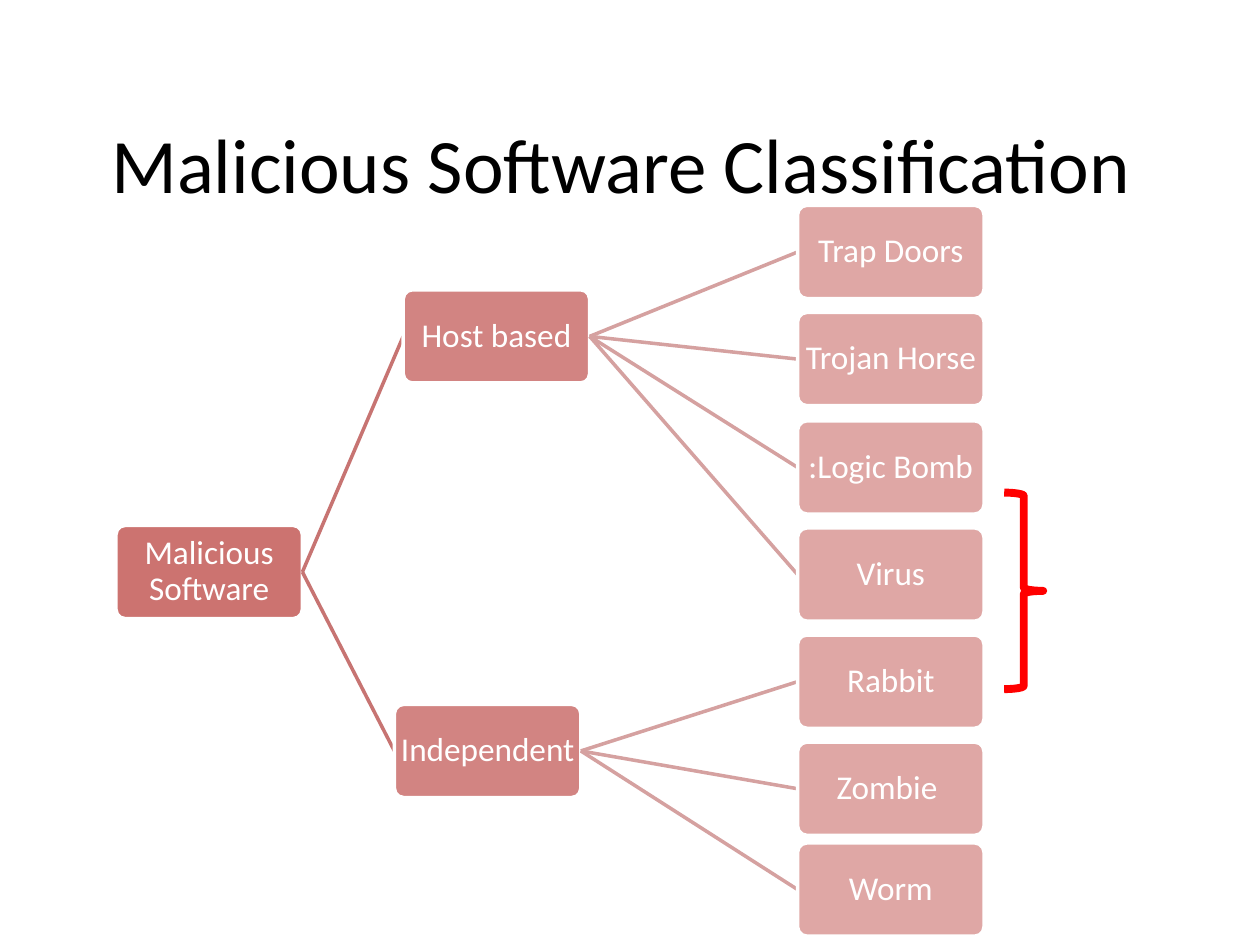
from lxml.etree import SubElement
from pptx import Presentation
from pptx.dml.color import RGBColor
from pptx.enum.shapes import MSO_CONNECTOR, MSO_SHAPE
from pptx.enum.text import MSO_ANCHOR, PP_ALIGN
from pptx.oxml.ns import qn
from pptx.util import Inches, Pt

BOX_W, BOX_H = 1.48, 0.74
RED = "C0504D"
LEAF_X = 6.33
ROOT = ("Malicious Software", 0.92, 4.17)
# Each branch: label, left, top, then its leaves as (label, top)
BRANCHES = [
    ("Host based", 3.2, 2.3,
     [("Trap Doors", 1.63), ("Trojan Horse", 2.48),
      (":Logic Bomb", 3.34), ("Virus", 4.19)]),
    ("Independent ", 3.13, 5.59,
     [("Rabbit", 5.04), ("Zombie ", 5.89), ("Worm", 6.69)]),
]


def rgb(color):
    return RGBColor.from_string(color)


def add_text(tf, text, size, color):
    tf.word_wrap = True
    tf.vertical_anchor = MSO_ANCHOR.MIDDLE
    p = tf.paragraphs[0]
    p.alignment = PP_ALIGN.CENTER
    r = p.add_run()
    r.text = text
    r.font.size = Pt(size)
    r.font.name = "Calibri"
    r.font.color.rgb = rgb(color)
    return p


def add_title(s, text):
    sp = s.shapes.title
    sp.left, sp.top = Inches(0.5), Inches(0.67)
    sp.width, sp.height = Inches(9), Inches(1.25)
    add_text(sp.text_frame, text, 44, "000000")


def add_box(s, text, x, y, opacity):
    sp = s.shapes.add_shape(MSO_SHAPE.ROUNDED_RECTANGLE, Inches(x), Inches(y),
                            Inches(BOX_W), Inches(BOX_H))
    sp.adjustments[0] = 0.1
    sp.shadow.inherit = False
    sp.fill.solid()
    sp.fill.fore_color.rgb = rgb(RED)
    # Transparency of the fill
    clr = sp.fill._xPr.find(qn("a:solidFill")).find(qn("a:srgbClr"))
    SubElement(clr, qn("a:alpha")).set("val", str(opacity * 1000))
    sp.line.color.rgb = rgb("FFFFFF")
    sp.line.width = Pt(2)
    tf = sp.text_frame
    tf.margin_left = tf.margin_right = Inches(0.01)
    tf.margin_top = tf.margin_bottom = Inches(0.01)
    add_text(tf, text, 19, "FFFFFF").line_spacing = 0.9


def add_link(s, parent, child, color):
    """Line from the right side of one box to the left side of another."""
    (x1, y1), (x2, y2) = parent, child
    c = s.shapes.add_connector(
        MSO_CONNECTOR.STRAIGHT, Inches(x1 + BOX_W), Inches(y1 + BOX_H / 2),
        Inches(x2), Inches(y2 + BOX_H / 2))
    c.line.color.rgb = rgb(color)
    c.line.width = Pt(2)
    SubElement(c._element.spPr, qn("a:effectLst"))


def add_brace(s, x, y, w, h):
    sp = s.shapes.add_shape(MSO_SHAPE.RIGHT_BRACE, Inches(x), Inches(y),
                            Inches(w), Inches(h))
    sp.shadow.inherit = False
    sp.fill.background()
    sp.line.color.rgb = rgb("FF0000")
    sp.line.width = Pt(4.5)


def add_tree(s):
    root, root_x, root_y = ROOT
    add_box(s, root, root_x, root_y, 80)
    for branch, x, y, leaves in BRANCHES:
        add_link(s, (root_x, root_y), (x, y), "C77472")
        add_box(s, branch, x, y, 70)
        for leaf, leaf_y in leaves:
            add_link(s, (x, y), (LEAF_X, leaf_y), "D5A1A0")
            add_box(s, leaf, LEAF_X, leaf_y, 50)


def main():
    prs = Presentation()
    prs.slide_width, prs.slide_height = Inches(10), Inches(7.5)
    s = prs.slides.add_slide(prs.slide_layouts[5])
    add_title(s, "Malicious Software Classification ")
    add_tree(s)
    # Brace beside the lower leaves
    add_brace(s, 7.97, 3.91, 0.31, 1.56)
    prs.save("out.pptx")


if __name__ == "__main__":
    main()
